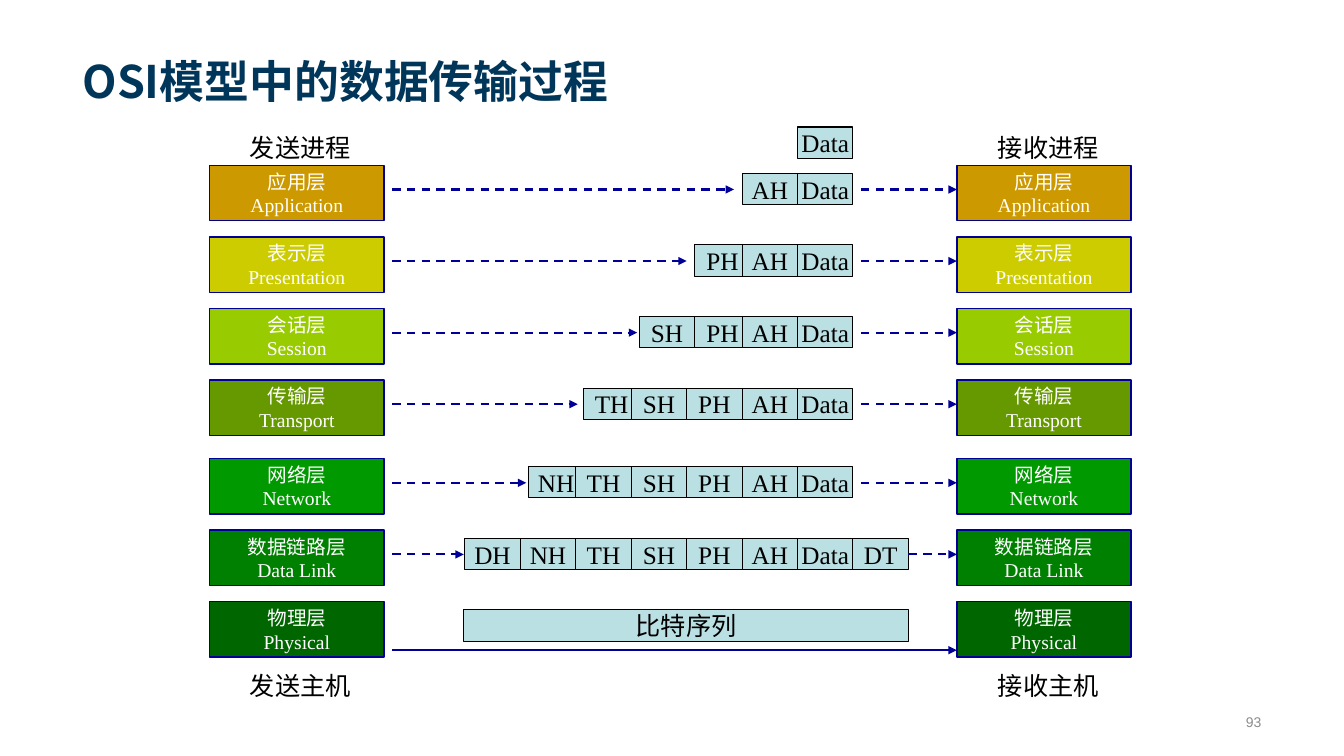
from lxml import etree
from pptx import Presentation
from pptx import util as u
from pptx.dml.color import RGBColor
from pptx.enum import dml, shapes, text
from pptx.oxml.ns import qn

COLORS = {"title": "003659", "ink": "000000", "label": "FFFFFF", "number": "8C8C8C",
          "unit": "BBE0E3", "edge": "000099"}
LATIN, CJK, NUMBER = "Times New Roman", "Noto Sans CJK SC", "Arial"

# Chinese name, English name, fill
LAYERS = [("应用层", "Application", "CC9900"), ("表示层", "Presentation", "CCCC00"),
          ("会话层", "Session", "99CC00"), ("传输层", "Transport", "669900"),
          ("网络层", "Network", "009900"), ("数据链路层", "Data Link", "008000"),
          ("物理层", "Physical", "006600")]
HEADERS = ["AH", "PH", "SH", "TH", "NH", "DH"]

# Per layer: how many leading units are nudged right, and where the sending arrow ends
NUDGED = [0, 1, 2, 1, 1, 0]
SEND_ENDS = [7.28, 6.81, 6.32, 5.73, 5.22, 4.6]

SENDER_X, RECEIVER_X, LAYER_W, LAYER_H = 2.08, 9.49, 1.73, 0.55
DATA_X, UNIT_W, UNIT_H, NUDGE = 7.91, 0.55, 0.31, 0.08
SEND_X, RECEIVE_X, TRAILER_END = 3.89, 8.54, 9.01


def layer_top(row):
    """Equal steps, with a slightly wider gap above the network layer."""
    return 1.64 + 0.71 * row + (0.07 if row > 3 else 0)


class Diagram:
    def __init__(self, slide):
        self.slide = slide
        self.font = {"name": LATIN, "size": u.Pt(18), "bold": False}
        self.frame = {"word_wrap": False, "vertical_anchor": text.MSO_ANCHOR.MIDDLE}

    def set_text(self, shape, lines, color, align, font=None, frame=None):
        body = shape.text_frame
        for key, value in {**self.frame, **(frame or {})}.items():
            setattr(body, key, value)
        for index, line in enumerate(lines):
            paragraph = body.paragraphs[0] if index == 0 else body.add_paragraph()
            paragraph.alignment = align
            run = paragraph.add_run()
            run.text = line
            for key, value in {**self.font, **(font or {})}.items():
                setattr(run.font, key, value)
            run.font.color.rgb = RGBColor.from_string(color)
            east_asian = etree.SubElement(run.font._element, qn("a:ea"))
            east_asian.set("typeface", CJK)

    def box(self, place, lines, fill, edge, weight, color, size=18):
        rect = self.slide.shapes.add_shape(shapes.MSO_SHAPE.RECTANGLE, *map(u.Inches, place))
        rect.shadow.inherit = False
        rect.fill.solid()
        rect.fill.fore_color.rgb = RGBColor.from_string(fill)
        rect.line.color.rgb = RGBColor.from_string(edge)
        rect.line.width = u.Pt(weight)
        self.set_text(rect, lines, color, text.PP_ALIGN.CENTER, {"size": u.Pt(size)})

    def layer(self, left, row):
        chinese, english, fill = LAYERS[row]
        self.box((left, layer_top(row), LAYER_W, LAYER_H), [chinese, english],
                 fill, COLORS["edge"], 1, COLORS["label"], 14)

    def unit(self, left, top, label, width=UNIT_W):
        self.box((left, top, width, UNIT_H), [label],
                 COLORS["unit"], COLORS["ink"], 0.75, COLORS["ink"])

    def label(self, place, words, color=COLORS["ink"], align=text.PP_ALIGN.LEFT,
              font=None, frame=None):
        box = self.slide.shapes.add_textbox(*map(u.Inches, place))
        self.set_text(box, [words], color, align, font, frame)

    def arrow(self, start, end, y, dashed=True):
        line = self.slide.shapes.add_connector(
            shapes.MSO_CONNECTOR.STRAIGHT, *map(u.Inches, (start, y, end, y)))
        line.line.color.rgb = RGBColor.from_string(COLORS["edge"])
        line.line.width = u.Pt(1.5)
        if dashed:
            line.line.dash_style = dml.MSO_LINE.DASH
        properties = line.element.spPr
        etree.SubElement(properties.find(qn("a:ln")), qn("a:tailEnd")).set("type", "triangle")
        etree.SubElement(properties, qn("a:effectLst"))


def main():
    deck = Presentation()
    deck.slide_width, deck.slide_height = u.Inches(13.33), u.Inches(7.5)
    diagram = Diagram(deck.slides.add_slide(deck.slide_layouts[6]))

    # Title
    diagram.label((0.72, 0, 11.88, 1.12), "OSI模型中的数据传输过程", COLORS["title"],
                  font={"name": CJK, "size": u.Pt(32), "bold": True},
                  frame={"word_wrap": True, "vertical_anchor": text.MSO_ANCHOR.BOTTOM})

    # Layer stacks of both hosts
    for stack_x in (SENDER_X, RECEIVER_X):
        for row in range(len(LAYERS)):
            diagram.layer(stack_x, row)

    # Data units, growing by one header per layer, and their arrows
    diagram.unit(DATA_X, 1.26, "Data")
    for row, (nudged, send_end) in enumerate(zip(NUDGED, SEND_ENDS)):
        top = layer_top(row) + 0.08
        for step in range(row + 1, 0, -1):
            shift = NUDGE if step > row + 1 - nudged else 0
            diagram.unit(DATA_X - step * UNIT_W + shift, top, HEADERS[step - 1])
        diagram.unit(DATA_X, top, "Data")
        framed = HEADERS[row] == "DH"
        if framed:
            diagram.unit(DATA_X + UNIT_W, top, "DT")
        arrow_y = layer_top(row) + 0.24
        diagram.arrow(SEND_X, send_end, arrow_y)
        diagram.arrow(TRAILER_END if framed else RECEIVE_X, RECEIVER_X, arrow_y)

    # Physical layer: bit stream
    diagram.unit(4.6, 6.05, "比特序列", 4.41)
    diagram.arrow(SEND_X, RECEIVER_X, 6.45, dashed=False)

    # Process and host labels
    for caption_y, captions in ((1.26, ("发送进程", "接收进程")),
                                (6.6, ("发送主机", "接收主机"))):
        for caption_x, caption in zip((2.38, 9.8), captions):
            diagram.label((caption_x, caption_y, 1.2, 0.4), caption)

    # Page number
    diagram.label((11.73, 7.01, 0.88, 0.3), "93", COLORS["number"], text.PP_ALIGN.RIGHT,
                  {"name": NUMBER, "size": u.Pt(10)}, {"word_wrap": True})

    deck.save("out.pptx")


if __name__ == "__main__":
    main()
